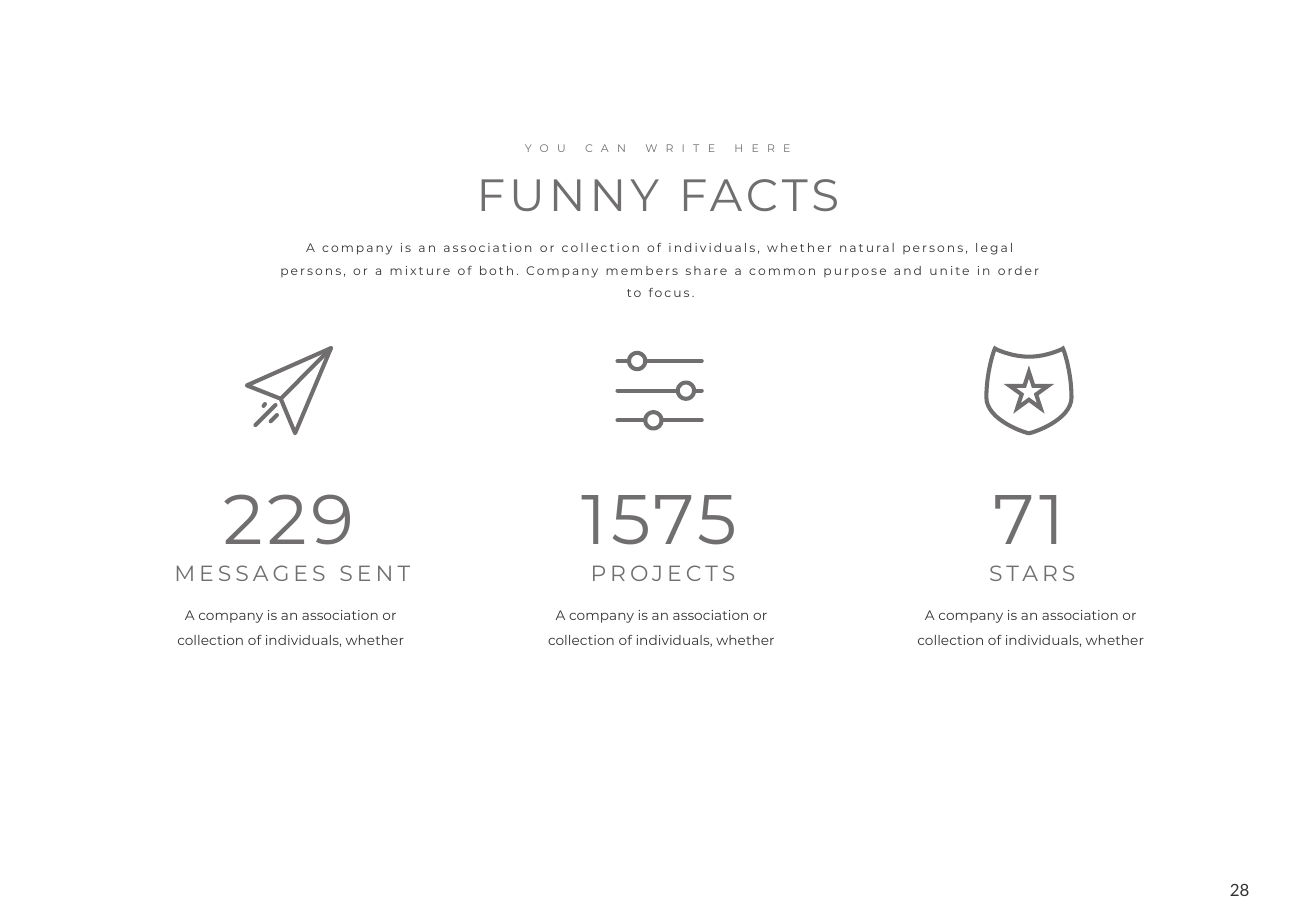
"""Build the Funny Facts slide with three icon columns."""
import math

from lxml import etree
from pptx import Presentation
from pptx import util as u
from pptx.dml.color import RGBColor
from pptx.enum import text
from pptx.oxml.ns import qn

GRAY = RGBColor(0x70, 0x6E, 0x6F)
DARK = RGBColor(0x33, 0x33, 0x33)

INTRO = ("A company is an association or collection of individuals, whether natural persons, "
         "legal persons, or a mixture of both. Company members share a common purpose and unite "
         "in order to focus.")
FACT = "A company is an association or collection of individuals, whether"
ICON_MIDDLE = 8.17


def add_text(page, wording, left, top, width, height, size, color=GRAY, spacing=0,
             name="Montserrat", align=text.PP_ALIGN.CENTER, wrap=True, leading=1.0, inset=None):
    """Add a one-paragraph text box measured in centimetres."""
    box = page.shapes.add_textbox(u.Cm(left), u.Cm(top), u.Cm(width), u.Cm(height))
    frame = box.text_frame
    settings = {"word_wrap": wrap, "auto_size": text.MSO_AUTO_SIZE.SHAPE_TO_FIT_TEXT}
    if inset is not None:
        settings.update({f"margin_{side}": u.Cm(inset)
                         for side in ("left", "top", "right", "bottom")})
    for key, value in settings.items():
        setattr(frame, key, value)
    para = frame.paragraphs[0]
    para.alignment = align
    para.line_spacing = leading
    span = para.add_run()
    span.text = wording
    for key, value in {"size": u.Pt(size), "name": name}.items():
        setattr(span.font, key, value)
    span.font.color.rgb = color
    if spacing:
        span._r.get_or_add_rPr().set("spc", str(round(spacing * 100)))


def add_icon(page, center, contours, join="round"):
    """Draw (points, closed) contours around a column centre as one stroked shape."""
    scaled = [([(round(x * 1000), round(y * 1000)) for x, y in points], closed)
              for points, closed in contours]
    builder = page.shapes.build_freeform(*scaled[0][0][0], scale=u.Cm(0.001))
    for index, (points, closed) in enumerate(scaled):
        if index:
            builder.move_to(*points[0])
        builder.add_line_segments(points[1:], close=closed)
    icon = builder.convert_to_shape(u.Cm(center), u.Cm(ICON_MIDDLE))
    icon.shadow.inherit = False
    icon.fill.background()
    icon.line.color.rgb = GRAY
    icon.line.width = u.Pt(2.4)
    outline = icon.line._get_or_add_ln()
    outline.set("cap", "rnd")
    corner = etree.SubElement(outline, qn(f"a:{join}"))
    if join == "miter":
        corner.set("lim", "800000")


def curve(start, first, second, end, steps=16):
    """Return points along a cubic curve."""
    def blend(a, b, c, d, t):
        """Return one coordinate of the curve at t."""
        s = 1 - t
        return s ** 3 * a + 3 * s * s * t * b + 3 * s * t * t * c + t ** 3 * d
    return [tuple(blend(*axis, step / steps) for axis in zip(start, first, second, end))
            for step in range(steps + 1)]


def ring(x, y, radii, count):
    """Return points around a centre, cycling through the radii from the top."""
    turn = 2 * math.pi / count
    return [(x + radii[i % len(radii)] * math.sin(i * turn),
             y - radii[i % len(radii)] * math.cos(i * turn)) for i in range(count)]


def plane():
    """Return the paper plane contours."""
    tip, fold = (0.88, -0.89), (-0.17, 0.17)
    dashes = [[(-0.53, 0.32), (-0.5, 0.28)], [(-0.7, 0.72), (-0.28, 0.3)],
              [(-0.38, 0.64), (-0.25, 0.51)]]
    wings = [tip, (-0.88, -0.11), fold, (0.13, 0.89)]
    return [(wings, True), ([tip, fold], False)] + [(dash, False) for dash in dashes]


def sliders():
    """Return the contours of three sliders with round knobs."""
    edge, radius = 0.88, 0.17
    contours = []
    for knob, y in ((-0.47, -0.62), (0.55, 0), (-0.13, 0.62)):
        contours += [([(-edge, y), (knob - radius, y)], False),
                     (ring(knob, y, [radius], 36), True),
                     ([(knob + radius, y), (edge, y)], False)]
    return contours


def shield():
    """Return the contours of a shield with a star."""
    half = (curve((0, -0.71), (0.37, -0.71), (0.7, -0.87), (0.71, -0.88))
            + curve((0.71, -0.88), (0.74, -0.83), (0.89, -0.37), (0.89, 0.14))[1:]
            + curve((0.89, 0.14), (0.89, 0.62), (0.06, 0.89), (0, 0.89))[1:])
    mirrored = [(-x, y) for x, y in half[-2:0:-1]]
    return [(half + mirrored, True), (ring(0, 0.03, [0.42, 0.16], 10), True)]


def add_fact(page, center, number, number_width, label, label_width):
    """Add the number, label and description of one column."""
    add_text(page, number, center - number_width / 2, 9.8, number_width, 2.03, 41.5,
             spacing=2.4, wrap=False)
    add_text(page, label, center + 0.07 - label_width / 2, 11.58, label_width, 0.81, 13,
             spacing=2.4, wrap=False)
    add_text(page, FACT, center + 0.04 - 2.7, 12.4, 5.4, 1.24, 8.1, DARK, leading=1.5)


def main():
    """Build and save the slide."""
    deck = Presentation()
    deck.slide_width, deck.slide_height = u.Cm(27.51), u.Cm(19.05)
    page = deck.slides.add_slide(deck.slide_layouts[6])
    add_text(page, "28", 25.43, 18.39, 0.69, 0.43, 10, DARK, name="Lato",
             align=text.PP_ALIGN.RIGHT, wrap=False, inset=0)
    add_text(page, "FUNNY FACTS", 7.7, 3.35, 12.12, 1.4, 26.8, spacing=2.4)
    add_text(page, "YOU CAN WRITE HERE", 10.21, 2.84, 7.09, 0.53, 6.5, spacing=4.9)
    add_text(page, INTRO, 5.54, 4.75, 16.54, 1.6, 7.3, DARK, spacing=1.2, leading=1.5)
    columns = [
        (6.04, plane(), "round", ("229", 3.35, "MESSAGES SENT", 5.61)),
        (13.79, sliders(), "round", ("1575", 3.94, "PROJECTS", 3.68)),
        (21.51, shield(), "miter", ("71", 2.08, "STARS", 2.46)),
    ]
    for center, contours, join, fact in columns:
        add_icon(page, center, contours, join)
        add_fact(page, center, *fact)
    deck.save("out.pptx")


if __name__ == "__main__":
    main()
